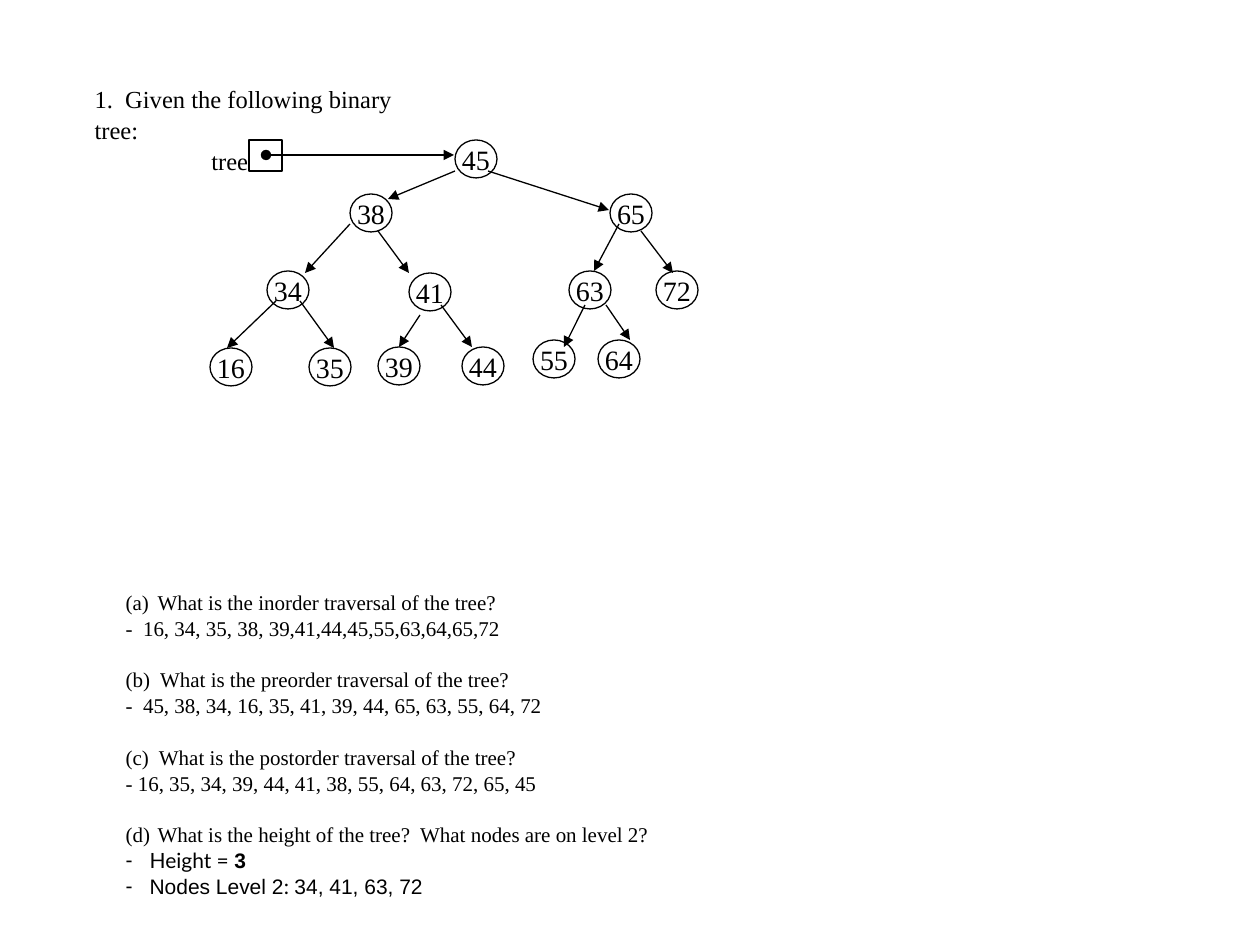
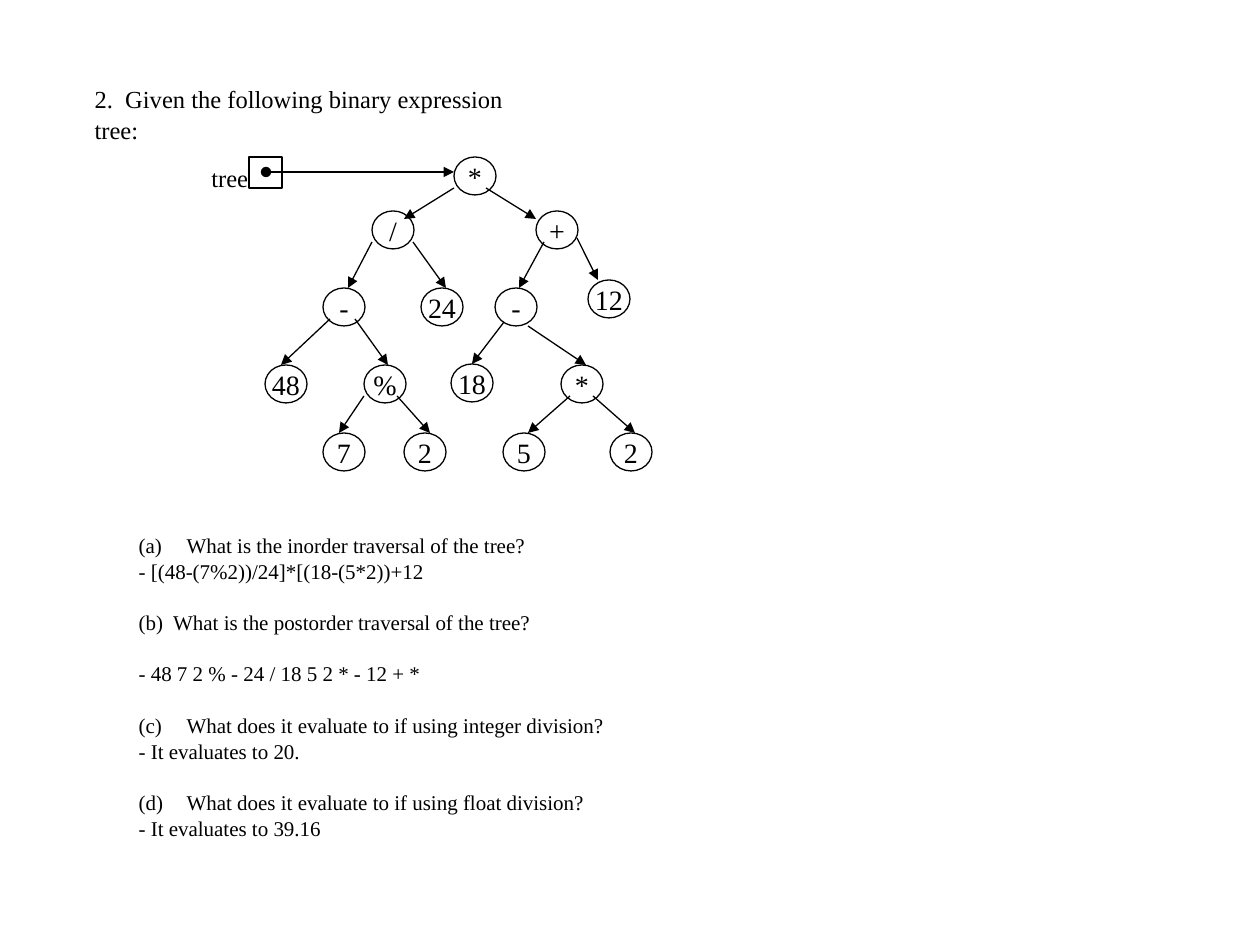
from lxml.etree import SubElement
from pptx import Presentation
from pptx.dml.color import RGBColor
from pptx.enum.shapes import MSO_CONNECTOR as Connector, MSO_SHAPE as Shape
from pptx.enum.text import MSO_ANCHOR as Anchor, MSO_AUTO_SIZE as AutoSize, PP_ALIGN as Align
from pptx.oxml.ns import qn
from pptx.util import Emu, Pt

PX_PER_INCH = 126
INK = "000000"
SERIF = "Times New Roman"
NODE_W, NODE_H = 42, 38
ROW_GAP = 25


def px(length):
    return Emu(round(length * 914400 / PX_PER_INCH))


def colour(hex_text):
    return RGBColor.from_string(hex_text)


def place(item, left, top, width, height):
    item.left, item.top, item.width, item.height = map(px, (left, top, width, height))


def set_frame(frame, wrap, anchor):
    frame.auto_size = AutoSize.NONE
    frame.word_wrap = wrap
    frame.vertical_anchor = anchor


def write(para, text, *, size, font=SERIF, bold=False, align=Align.LEFT):
    """Add one formatted span to a paragraph."""
    para.alignment = align
    span = para.add_run()
    span.text = text
    span.font.size = Pt(size)
    span.font.name = font
    span.font.bold = bold
    span.font.color.rgb = colour(INK)


def set_bullet(para, indent=0, number=None, dash=False):
    """Give a paragraph a hanging indent and an (a)-style number, a dash or no bullet."""
    props = para._p.get_or_add_pPr()
    props.set("marL", str(px(indent)))
    props.set("indent", str(-px(indent)))
    if number:
        SubElement(props, qn("a:buAutoNum"), type="alphaLcParenBoth", startAt=str(number))
    elif dash:
        SubElement(props, qn("a:buChar"), char="-")
    else:
        SubElement(props, qn("a:buNone"))


def outline(item):
    item.line.color.rgb = colour(INK)
    item.line.width = Pt(0.75)


def add_outlined(page, kind, left, top, width, height):
    shape = page.shapes.add_shape(kind, *map(px, (left, top, width, height)))
    shape.shadow.inherit = False
    shape.fill.background()
    outline(shape)
    return shape


def add_arrow(page, start, end, head=None):
    arrow = page.shapes.add_connector(Connector.STRAIGHT, *map(px, (*start, *end)))
    outline(arrow)
    line = arrow.line._ln
    if head:
        SubElement(line, qn("a:headEnd"), type=head)
    SubElement(line, qn("a:tailEnd"), type="triangle")
    SubElement(arrow._element.spPr, qn("a:effectLst"))


def add_node(page, label, left, top):
    node = add_outlined(page, Shape.OVAL, left, top, NODE_W, NODE_H)
    set_frame(node.text_frame, False, Anchor.MIDDLE)
    write(node.text_frame.paragraphs[0], label, size=16, align=Align.CENTER)


def add_tree(page, box, nodes):
    """Draw the root pointer, then every node with the arrow that leads to it."""
    left, top = box

    def at(x, y):
        return left + x, top + y

    # Pointer to the root
    add_outlined(page, Shape.RECTANGLE, *at(50, 0), 33, 31)
    label = page.shapes.add_textbox(*map(px, (*at(0, 0), 62, 42)))
    set_frame(label.text_frame, False, Anchor.TOP)
    write(label.text_frame.paragraphs[0], "tree", size=14)
    add_arrow(page, at(67, 15), at(255, 15), head="oval")

    # Nodes and arrows
    for text, corner, *arrow in nodes:
        add_node(page, text, *at(*corner))
        if arrow:
            start, end = arrow
            add_arrow(page, at(*start), at(*end))


def add_title(page, text, width):
    title = page.shapes.title
    place(title, 82, 76, width, 42)
    set_frame(title.text_frame, True, Anchor.TOP)
    para = title.text_frame.paragraphs[0]
    para.line_spacing = 1.05
    write(para, text, size=14)


def add_questions(page, box, rows):
    """Fill the body placeholder; a row is its text or spans, and its format."""
    body = page.placeholders[1]
    place(body, *box)
    frame = body.text_frame
    set_frame(frame, True, Anchor.TOP)
    for index, (spans, form) in enumerate(rows):
        para = frame.add_paragraph() if index else frame.paragraphs[0]
        form = dict(form)
        para.line_spacing = 1.04
        para.space_before = px(ROW_GAP if form.pop("gap", False) else 0)
        para.space_after = Pt(0)
        set_bullet(para, **form)
        if isinstance(spans, str):
            spans = [(spans, {})]
        for text, style in spans:
            write(para, text, size=12, **style)


def add_exercise(deck, title, title_width, tree_box, nodes, body_box, rows):
    page = deck.slides.add_slide(deck.slide_layouts[1])
    add_title(page, title, title_width)
    add_questions(page, body_box, rows)
    add_tree(page, tree_box, nodes)


# Each node: label, corner, then start and end of its incoming arrow
SEARCH_TREE = [
    ("45", (256, 0)),
    ("38", (151, 54), (256, 31), (189, 59)),
    ("65", (411, 54), (289, 31), (410, 70)),
    ("34", (68, 131), (151, 84), (106, 133)),
    ("41", (210, 133), (179, 91), (210, 133)),
    ("63", (370, 131), (420, 84), (395, 131)),
    ("72", (457, 131), (442, 91), (474, 133)),
    ("16", (11, 208), (77, 161), (28, 208)),
    ("35", (110, 208), (101, 161), (135, 208)),
    ("39", (179, 207), (221, 175), (200, 207)),
    ("44", (263, 207), (242, 165), (273, 207)),
    ("55", (334, 200), (386, 165), (365, 207)),
    ("64", (399, 200), (407, 165), (431, 200)),
]
EXPRESSION_TREE = [
    ("*", (255, 0)),
    ("/", (173, 54), (255, 31), (205, 62)),
    ("+", (337, 54), (287, 31), (337, 62)),
    ("-", (124, 131), (173, 85), (149, 131)),
    ("24", (222, 131), (214, 85), (247, 131)),
    ("-", (296, 131), (345, 85), (320, 131)),
    ("12", (389, 123), (378, 81), (399, 123)),
    ("48", (66, 208), (131, 162), (82, 208)),
    ("%", (165, 208), (156, 162), (189, 208)),
    ("18", (252, 207), (305, 165), (273, 207)),
    ("*", (362, 208), (329, 169), (387, 208)),
    ("7", (124, 276), (165, 239), (140, 276)),
    ("2", (205, 276), (198, 239), (231, 276)),
    ("5", (304, 276), (371, 239), (329, 276)),
    ("2", (411, 276), (394, 239), (436, 276)),
]

PLAIN, SPACED = {}, {"gap": True}
DASHED = {"indent": 24, "dash": True}
LATO, ARIAL = {"font": "Lato"}, {"font": "Arial"}

SEARCH_ROWS = [
    ("What is the inorder traversal of the tree?", {"indent": 32, "number": 1}),
    ("-  16, 34, 35, 38, 39,41,44,45,55,63,64,65,72", PLAIN),
    ("(b)  What is the preorder traversal of the tree?", SPACED),
    ("-  45, 38, 34, 16, 35, 41, 39, 44, 65, 63, 55, 64, 72", PLAIN),
    ("(c)  What is the postorder traversal of the tree?", SPACED),
    ("- 16, 35, 34, 39, 44, 41, 38, 55, 64, 63, 72, 65, 45", PLAIN),
    ("What is the height of the tree?  What nodes are on level 2?",
     {"indent": 32, "number": 4, "gap": True}),
    ([("Height = ", LATO), ("3", {"font": "Arial", "bold": True})], DASHED),
    ([("Nodes Level 2", ARIAL), (": ", LATO), ("34, 41, 63, 72", ARIAL)], DASHED),
]
EXPRESSION_ROWS = [
    ("What is the inorder traversal of the tree?", {"indent": 48, "number": 1}),
    ("- [(48-(7%2))/24]*[(18-(5*2))+12", PLAIN),
    ("(b)  What is the postorder traversal of the tree?", SPACED),
    ("- 48 7 2 % - 24 / 18 5 2 * - 12 + *", SPACED),
    ("What does it evaluate to if using integer division?",
     {"indent": 48, "number": 3, "gap": True}),
    ("- It evaluates to 20.", PLAIN),
    ("What does it evaluate to if using float division?",
     {"indent": 48, "number": 4, "gap": True}),
    ("- It evaluates to 39.16", PLAIN),
]


def main():
    deck = Presentation()
    deck.slide_width, deck.slide_height = px(1260), px(945)
    add_exercise(deck, "1.  Given the following binary tree:", 370,
                 (199, 140), SEARCH_TREE, (113, 582, 561, 344), SEARCH_ROWS)
    add_exercise(deck, "2.  Given the following binary expression tree:", 480,
                 (199, 157), EXPRESSION_TREE, (126, 525, 496, 369), EXPRESSION_ROWS)
    deck.save("out.pptx")


if __name__ == "__main__":
    main()
